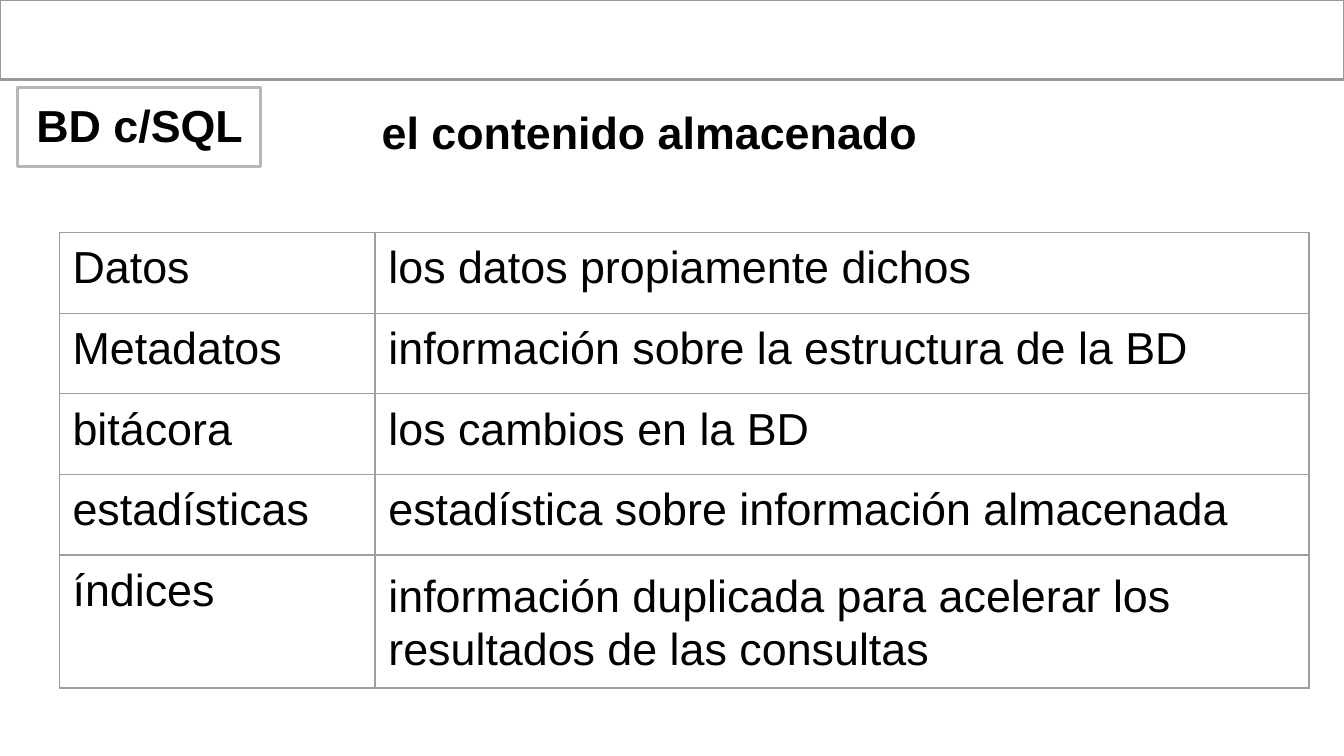
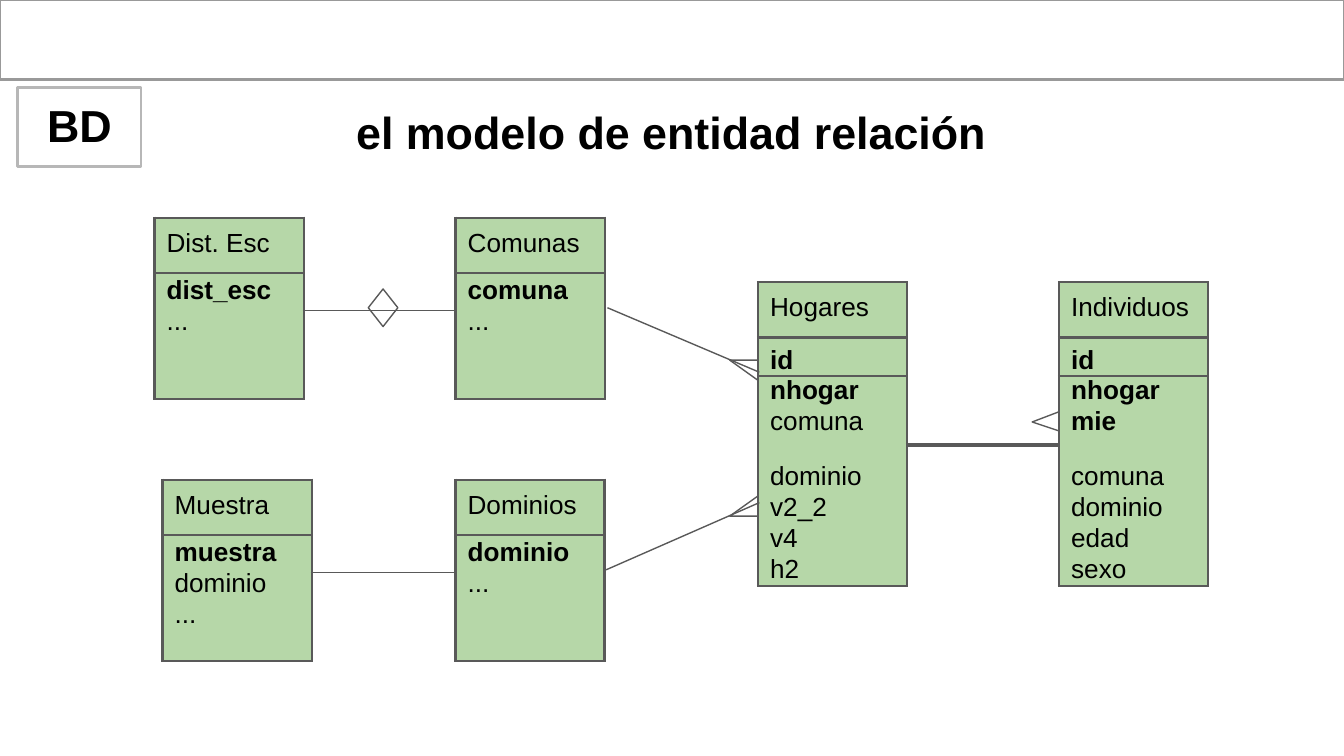
from lxml import etree
from pptx import Presentation
from pptx import util as u
from pptx.dml import color
from pptx.enum import shapes, text
from pptx.oxml import ns

INK, GRID, BAND, TAG, LINK, ENTITY = "000000", "9E9E9E", "999999", "B7B7B7", "595959", "B6D7A8"
FONT = "Arial"
PLAIN_TABLE = "{2D5ABB26-0587-4C30-8999-92F81FD0307C}"

CONTENTS = [
    ("Datos", "los datos propiamente dichos"),
    ("Metadatos", "información sobre la estructura de la BD"),
    ("bitácora", "los cambios en la BD"),
    ("estadísticas", "estadística sobre información almacenada"),
    ("índices", "información duplicada para acelerar los resultados de las consultas"),
]

HEADER = (0.41, 0.08, None, 6)
SMALL_ROWS = [HEADER, (0.28, 0.01, 16.6, 0.7), (0.66, 0, None, 0)]
FIELD = (0.23, 0, 15.5, 0)
LARGE_ROWS = [HEADER, (0.29, 0.05, 16.4, 3.4), FIELD, (0.28, 0, 15.5, 0),
              (0.13, 0, None, 0), FIELD, FIELD, FIELD, FIELD]


def rgb(value):
    return color.RGBColor.from_string(value)


def inches(*values):
    return [u.Inches(value) for value in values]


def assign(target, values):
    for name, value in values.items():
        setattr(target, name, value)


def place(part, box):
    assign(part, dict(zip(("left", "top", "width", "height"), inches(*box))))


def margins(left, top):
    return dict(margin_left=u.Inches(left), margin_top=u.Inches(top), margin_right=0, margin_bottom=0)


def write(frame, lines, size, spacing=None, before=0):
    for number, (words, bold) in enumerate(lines):
        paragraph = frame.paragraphs[0] if number == 0 else frame.add_paragraph()
        assign(paragraph, dict(
            alignment=text.PP_ALIGN.LEFT,
            space_before=u.Pt(0 if number else before),
            line_spacing=u.Pt(spacing) if spacing else 1.0,
        ))
        run = paragraph.add_run()
        run.text = words
        assign(run.font, dict(name=FONT, size=u.Pt(size), bold=bold))
        run.font.color.rgb = rgb(INK)


def outline(part, tint, width):
    part.line.color.rgb = rgb(tint)
    part.line.width = u.Pt(width)


def hollow(part, tint, width):
    part.fill.background()
    part.shadow.inherit = False
    outline(part, tint, width)


def polygon(slide, points, tint, width):
    start, *rest = [inches(*point) for point in points]
    builder = slide.shapes.build_freeform(*start, scale=1.0)
    builder.add_line_segments(rest, close=True)
    figure = builder.convert_to_shape()
    hollow(figure, tint, width)
    return figure


def relation(slide, start, end):
    line = slide.shapes.add_connector(shapes.MSO_CONNECTOR.STRAIGHT, *inches(*start, *end))
    outline(line, LINK, 0.75)
    etree.SubElement(line._element.spPr, ns.qn("a:effectLst"))


def border(cell, sides, tint):
    properties = cell._tc.get_or_add_tcPr()
    ordered = [side for side in "LRTB" if side in sides]
    for position, side in enumerate(ordered):
        edge = etree.Element(ns.qn(f"a:ln{side}"), w=str(u.Pt(sides[side])))
        fill = etree.SubElement(edge, ns.qn("a:solidFill"))
        etree.SubElement(fill, ns.qn("a:srgbClr"), val=tint)
        properties.insert(position, edge)


def plain_table(slide, left, top, columns, rows):
    frame = slide.shapes.add_table(len(rows), len(columns),
                                   *inches(left, top, sum(columns), sum(rows)))
    table = frame.table
    assign(table, dict(first_row=False, horz_banding=False))
    table._tbl.tblPr.find(ns.qn("a:tableStyleId")).text = PLAIN_TABLE
    for column, width in zip(table.columns, columns):
        column.width = u.Inches(width)
    for row, height in zip(table.rows, rows):
        row.height = u.Inches(height)
    return table


def shared_band(slide):
    band = polygon(slide, [(0, 0), (10, 0), (10, 0.59), (0, 0.59)], BAND, 1.5)
    slide.slide_layout.shapes._spTree.insert(2, band._element)


def heading(slide, title, title_box, tag, tag_box, tag_indent):
    place(slide.shapes.title, title_box)
    badge = slide.shapes.add_shape(shapes.MSO_SHAPE.RECTANGLE, *inches(*tag_box))
    hollow(badge, TAG, 1.5)
    for part, words, indent, top, before in (
        (slide.shapes.title, title, 0.01, 0.01, 1),
        (badge, tag, tag_indent, 0.08, 5.8),
    ):
        assign(part.text_frame, dict(
            margins(indent, top), word_wrap=True,
            auto_size=text.MSO_AUTO_SIZE.NONE, vertical_anchor=text.MSO_ANCHOR.TOP,
        ))
        write(part.text_frame, [(words, True)], 24, before=before)


def contents_table(slide, left, top):
    table = plain_table(slide, left, top, [2.35, 6.95], [0.6] * 4 + [0.99])
    for row, entry in enumerate(CONTENTS):
        for column, words in enumerate(entry):
            cell = table.cell(row, column)
            long = (row, column) == (len(CONTENTS) - 1, 1)
            assign(cell, margins(0.1, 0.1 if long else 0.08))
            write(cell.text_frame, [(words, False)], 24,
                  spacing=28.5 if long else None, before=7 if long else 5.8)
            cell.fill.background()
            border(cell, dict.fromkeys("LRTB", 0.75), GRID)


def entity_pair(slide, left, top, gap, rows, entities, body, link, link_width):
    table = plain_table(slide, left, top, [1.11, gap, 1.11], [row[0] for row in rows])
    last = len(rows) - 1
    closing = {0, last} | ({body[0]} if body[1] == last else set())
    for row, (_, inset, spacing, before) in enumerate(rows):
        for column in range(3):
            cell = table.cell(row, column)
            lines = entities[column // 2].get(row, []) if column != 1 else []
            assign(cell, margins(0.09 if lines else 0, inset))
            if lines:
                write(cell.text_frame, lines, 14, spacing, before)
            else:
                etree.SubElement(cell.text_frame.paragraphs[0]._p, ns.qn("a:endParaRPr"), sz="600")
            sides = dict(L=1.5, R=1.5)
            if column == 1:
                cell.fill.background()
                if row in (0, link):
                    sides["B"] = link_width
                elif row == link + 1:
                    sides["T"] = link_width
            else:
                cell.fill.solid()
                cell.fill.fore_color.rgb = rgb(ENTITY)
                if row in (0, 1):
                    sides["T"] = 1.5
                if row in closing:
                    sides["B"] = 1.5
            border(cell, sides, LINK)
    for column, first, end in ((0, *body), (2, *body), (1, 0, link), (1, link + 1, last)):
        if first < end:
            table.cell(first, column).merge(table.cell(end, column))


def small_pair(slide, left, top, gap, names, fields):
    entities = [
        {0: [(name, False)], 1: [(key, True)] + [(other, False) for other in others]}
        for name, (key, *others) in zip(names, fields)
    ]
    entity_pair(slide, left, top, gap, SMALL_ROWS, entities, (1, 2), 1, 0.75)


def large_pair(slide, left, top):
    columns = [
        ("Hogares", ["id", "nhogar"], ["comuna", "dominio", "v2_2", "v4", "h2"]),
        ("Individuos", ["id", "nhogar", "mie"], ["comuna", "dominio", "edad", "sexo"]),
    ]
    entities = []
    for name, keys, others in columns:
        lines = [(name, False)] + [(key, True) for key in keys] + [(other, False) for other in others]
        entities.append({row: [line] for row, line in zip((0, 1, 2, 3, 5, 6, 7, 8), lines)})
    entity_pair(slide, left, top, 1.13, LARGE_ROWS, entities, (3, 4), 3, 2.25)


def entity_diagram(slide):
    polygon(slide, [(7.89, 3.21), (7.68, 3.14), (7.89, 3.06)], LINK, 0.75)
    large_pair(slide, 5.64, 2.1)
    small_pair(slide, 1.15, 1.62, 1.13, ("Dist. Esc", "Comunas"),
               (("dist_esc", "..."), ("comuna", "...")))
    small_pair(slide, 1.21, 3.57, 1.07, ("Muestra", "Dominios"),
               (("muestra", "dominio", "..."), ("dominio", "...")))
    for crow_foot, start, end in (
        ([(5.64, 2.83), (5.43, 2.68), (5.64, 2.68)], (4.52, 2.29), (5.65, 2.77)),
        ([(5.64, 3.84), (5.43, 3.84), (5.64, 3.69)], (4.51, 4.24), (5.65, 3.74)),
    ):
        polygon(slide, crow_foot, LINK, 0.75)
        relation(slide, start, end)
    aggregation = slide.shapes.add_shape(shapes.MSO_SHAPE.DIAMOND, *inches(2.74, 2.15, 0.22, 0.28))
    hollow(aggregation, LINK, 0.75)


def main():
    deck = Presentation()
    assign(deck, dict(slide_width=u.Inches(10), slide_height=u.Inches(10 * 9 / 16)))
    title_only = deck.slide_layouts[5]

    stored = deck.slides.add_slide(title_only)
    shared_band(stored)
    heading(stored, "el contenido almacenado", (2.83, 0.77, 4.01, 0.43),
            "BD c/SQL", (0.13, 0.65, 1.81, 0.59), 0.14)
    contents_table(stored, 0.44, 1.73)

    model = deck.slides.add_slide(title_only)
    heading(model, "el modelo de entidad relación", (2.64, 0.77, 4.71, 0.43),
            "BD", (0.13, 0.65, 0.92, 0.59), 0.22)
    entity_diagram(model)

    deck.save("out.pptx")


if __name__ == "__main__":
    main()
